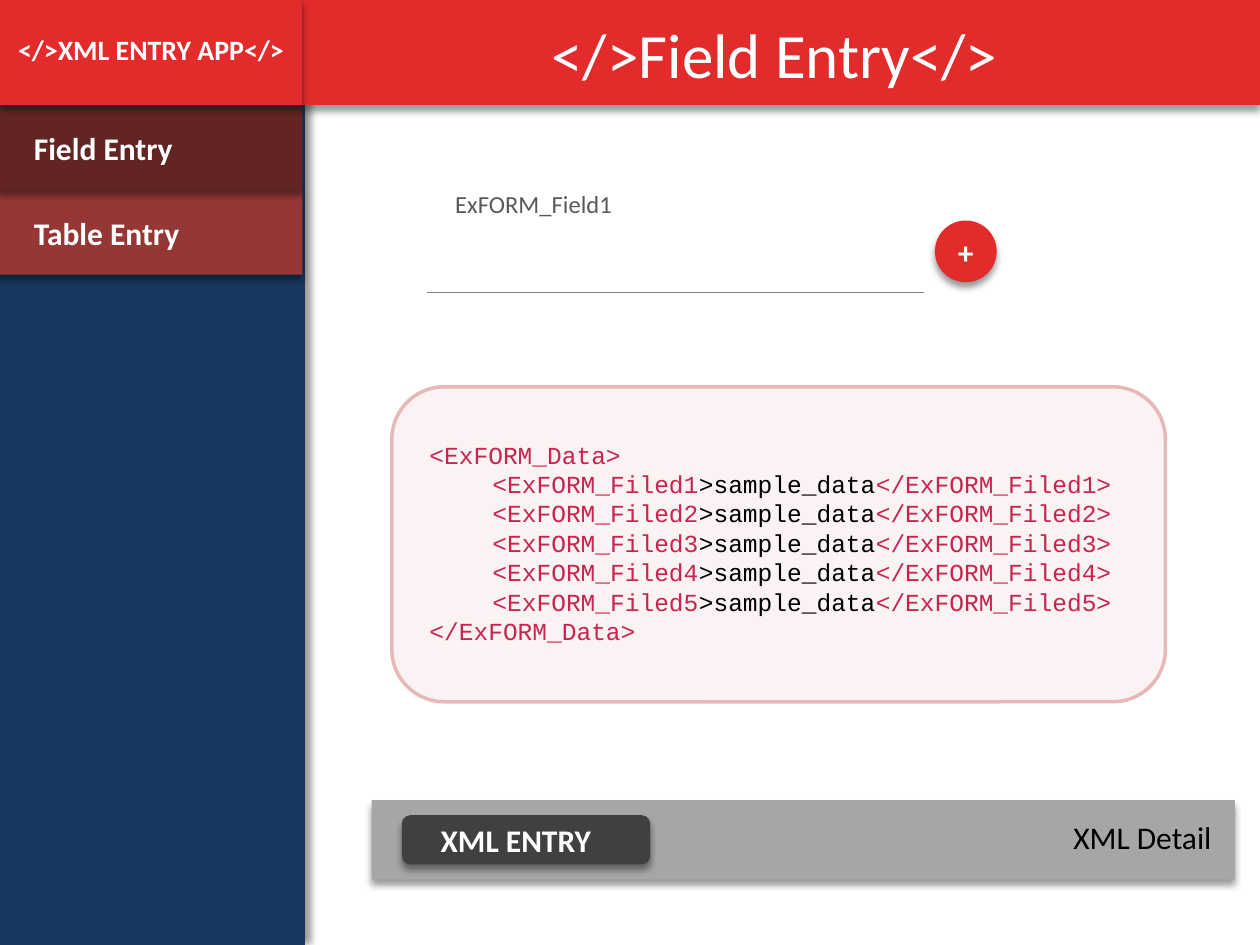
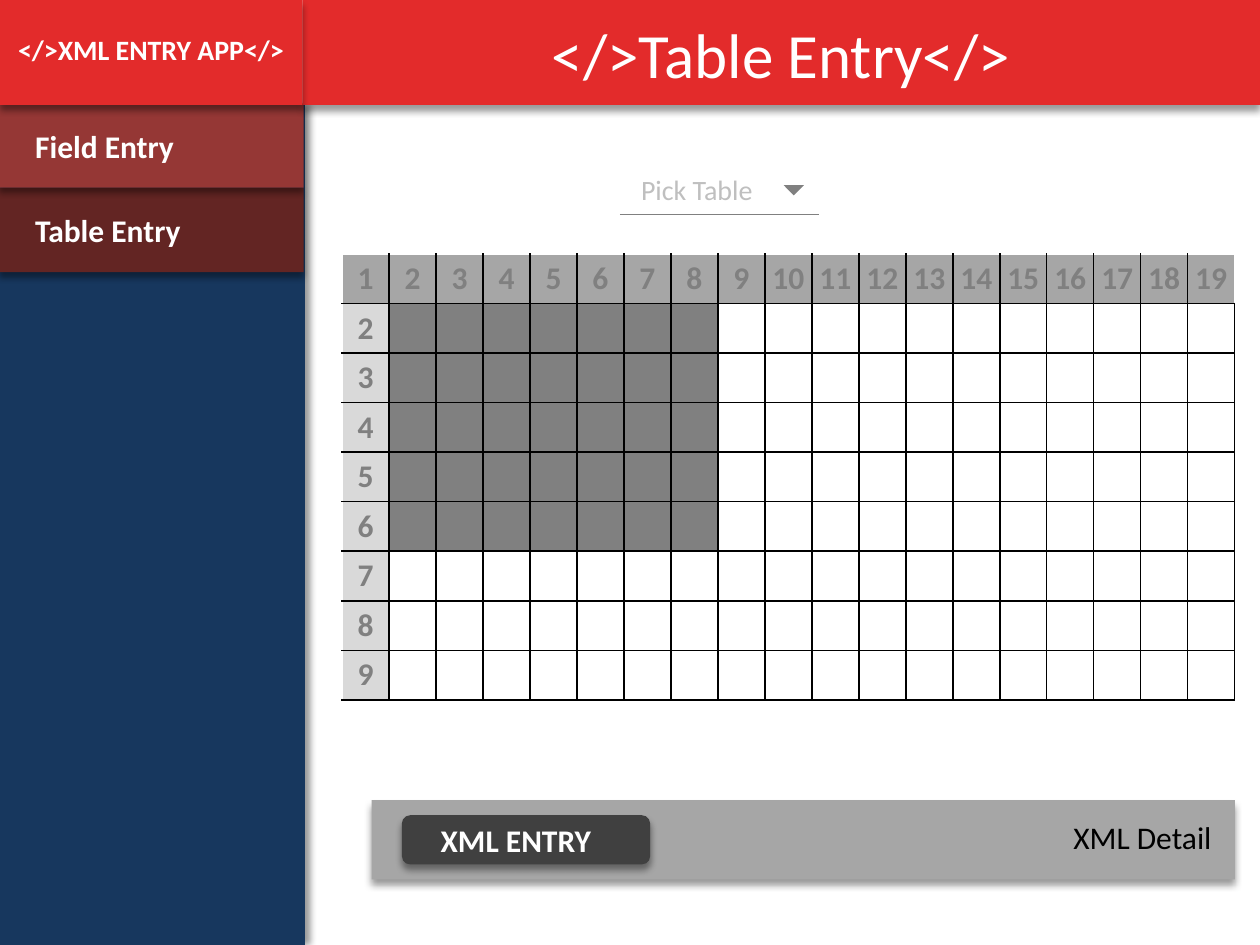
from lxml import etree
from pptx import Presentation
from pptx.dml.color import RGBColor
from pptx.enum.shapes import MSO_CONNECTOR, MSO_SHAPE
from pptx.enum.text import MSO_ANCHOR, MSO_AUTO_SIZE, PP_ALIGN
from pptx.oxml.ns import qn
from pptx.util import Inches, Pt

RECT = MSO_SHAPE.RECTANGLE
ROUND = MSO_SHAPE.ROUNDED_RECTANGLE
DISC = MSO_SHAPE.FLOWCHART_CONNECTOR
ARROW = MSO_SHAPE.ISOSCELES_TRIANGLE
LINE = MSO_CONNECTOR.STRAIGHT
LEFT, MID = PP_ALIGN.LEFT, PP_ALIGN.CENTER
TOP, HALF = MSO_ANCHOR.TOP, MSO_ANCHOR.MIDDLE
GROW = MSO_AUTO_SIZE.SHAPE_TO_FIT_TEXT

HEX = {
    "red": "E32B2B", "navy": "17375E", "item": "953735", "active": "632523",
    "white": "FFFFFF", "black": "000000", "pale": "FBF3F3", "pink": "E6B9B8",
    "code": "C7254E", "label": "595959", "hint": "BFBFBF", "mid": "808080",
    "bar": "A6A6A6", "light": "D9D9D9", "dark": "404040",
}
SANS, MONO = "Calibri", "Courier New"
COLS, ROWS = 100, 75

deck = Presentation()
deck.slide_width, deck.slide_height = Inches(10), Inches(7.5)


def col(n):
    return round(n * deck.slide_width / COLS)


def row(n):
    return round(n * deck.slide_height / ROWS)


def rgb(name):
    return RGBColor.from_string(HEX[name])


def grid(box):
    x, y, w, h = box
    return col(x), row(y), col(w), row(h)


def within(box, x, y, w, h):
    return box[0] + x, box[1] + y, w, h


def shade(shape, angle):
    fx = etree.SubElement(shape.element.spPr, qn("a:effectLst"))
    if angle is None:
        return
    drop = etree.SubElement(fx, qn("a:outerShdw"), blurRad=str(Pt(4)),
                            dist=str(Pt(3)), dir=str(angle * 60000),
                            algn="t", rotWithShape="0")
    tone = etree.SubElement(drop, qn("a:srgbClr"), val=HEX["black"])
    etree.SubElement(tone, qn("a:alpha"), val="40000")


def style(run, size, color, bold=False, face=SANS):
    font = run.font
    font.name, font.size, font.bold = face, Pt(size), bold
    font.color.rgb = rgb(color)


def write(frame, text, size, color, bold=False, align=LEFT, indent=0):
    frame.text = text
    para = frame.paragraphs[0]
    para.alignment = align
    if indent:
        para._p.get_or_add_pPr().set("marL", str(col(indent)))
    style(para.runs[0], size, color, bold)


def block(slide, box, fill, kind=RECT, angle=90, adj=None, edge=None):
    shape = slide.shapes.add_shape(kind, *grid(box))
    shape.fill.solid()
    shape.fill.fore_color.rgb = rgb(fill)
    if edge:
        shape.line.color.rgb = rgb(edge)
        shape.line.width = Pt(2)
    else:
        shape.line.fill.background()
    if adj is not None:
        shape.adjustments[0] = adj
    shade(shape, angle)
    return shape


def label(slide, box, text, size, color, bold=False, align=LEFT,
          anchor=TOP, wrap=True):
    frame = slide.shapes.add_textbox(*grid(box)).text_frame
    frame.word_wrap, frame.vertical_anchor = wrap, anchor
    if not wrap:
        frame.auto_size = GROW
    write(frame, text, size, color, bold, align)


def rule(slide, x, y, w):
    line = slide.shapes.add_connector(LINE, col(x), row(y), col(x + w), row(y))
    line.line.color.rgb = rgb("mid")
    line.line.width = Pt(0.75)
    shade(line, None)


def menu(slide, box, names, active):
    x, y, w, h = box
    step = h / len(names)
    for i in reversed(range(len(names))):
        fill = "active" if names[i] == active else "item"
        item = block(slide, (x, y + i * step, w, step), fill)
        write(item.text_frame, names[i], 18, "white", True, indent=1.9)


def header(slide, box, title, span):
    x, y, w, h = box
    side = 24
    block(slide, (x + side, y, w - side, h), "red")
    block(slide, (x, y, side, h), "red")
    label(slide, within(box, 0, 2.1, side, 3.7), "</>XML ENTRY APP</>",
          16, "white", True, MID)
    label(slide, within(box, 42.8, 0.7, span, 7.1), f"</>{title}</>",
          36, "white", wrap=False)


def footer(slide, box):
    block(slide, box, "bar", ROUND, adj=0)
    button = block(slide, within(box, 2.4, 1.2, 19.7, 3.9), "dark", ROUND)
    write(button.text_frame, "XML ENTRY", 18, "white", True, indent=1.9)
    label(slide, within(box, 54.7, 0.9, 13.9, 4), "XML Detail", 18, "black")


def field(slide, box):
    block(slide, within(box, 1.1, 4.4, 37.5, 5.2), "white", ROUND, None, 0)
    label(slide, within(box, 0.2, 0, 16.5, 4.7), "ExFORM_Field1",
          14, "label", align=MID, anchor=HALF)
    rule(slide, box[0], box[1] + box[3], 39.4)
    block(slide, within(box, 40.3, 3.7, 4.9, 4.9), "red", DISC)
    label(slide, within(box, 40.3, 4.2, 4.9, 4), "+", 18, "white", True, MID)


def code(slide, box):
    block(slide, box, "pale", ROUND, None, edge="pink")
    frame = slide.shapes.add_textbox(
        *grid(within(box, 2, 3.7, 57.9, 17.5))).text_frame
    frame.word_wrap = True
    lines = [["<ExFORM_Data>"]]
    for i in range(1, 6):
        tag = f"ExFORM_Filed{i}"
        lines.append([f"<{tag}", ">sample_data", f"</{tag}>"])
    lines.append(["</ExFORM_Data>"])
    for i, parts in enumerate(lines):
        para = frame.add_paragraph() if i else frame.paragraphs[0]
        para.alignment = LEFT
        if len(parts) > 1:
            para.level = 1
            para._p.get_or_add_pPr().set("marL", str(col(5)))
        for j, part in enumerate(parts):
            run = para.add_run()
            run.text = part
            style(run, 14, "black" if j == 1 else "code", face=MONO)


def picker(slide, box):
    x, y, w, h = box
    pick = block(slide, within(box, 0.7, 0, 14.3, 5.2), "white", ROUND, None, 0)
    write(pick.text_frame, "Pick Table", 16, "hint")
    arrow = block(slide, within(box, 13, 2.3, 1.6, 0.8), "mid", ARROW, None)
    arrow.element.spPr.get_or_add_xfrm().set("flipV", "1")
    rule(slide, x, y + h, w)


def border(cell, sides):
    props = cell._tc.get_or_add_tcPr()
    for side in sides:
        edge = etree.SubElement(props, qn(f"a:ln{side}"), w=str(Pt(1)))
        fill = etree.SubElement(edge, qn("a:solidFill"))
        etree.SubElement(fill, qn("a:srgbClr"), val=HEX["black"])


def sheet(slide, box, down, across, picked):
    table = slide.shapes.add_table(down, across, *grid(box)).table
    table.first_row = table.horz_banding = False
    for c in table.columns:
        c.width = round(col(box[2]) / across)
    for r in table.rows:
        r.height = round(row(box[3]) / down)
    for r in range(down):
        for c in range(across):
            cell = table.cell(r, c)
            cell.margin_left = cell.margin_right = 0
            cell.margin_top = cell.margin_bottom = 0
            cell.vertical_anchor = HALF
            shown = {"L": c > 0, "R": r > 0 or c < across - 1,
                     "T": r > 0, "B": True}
            border(cell, [side for side in shown if shown[side]])
            if r == 0 or c == 0:
                fill = "light" if r else "bar"
                write(cell.text_frame, str(r + c + 1), 18, "mid", True, MID)
            else:
                fill = "mid" if r <= picked[0] and c <= picked[1] else None
            if fill:
                cell.fill.solid()
                cell.fill.fore_color.rgb = rgb(fill)
            else:
                cell.fill.background()


def page(title, span, side, nav):
    slide = deck.slides.add_slide(deck.slide_layouts[6])
    block(slide, side, "navy", angle=0)
    menu(slide, nav, ["Field Entry", "Table Entry"], title)
    header(slide, (0, 0, COLS, 8.33), title, span)
    return slide


first = page("Field Entry", 37.7, (-0.2, 0, 24.4, ROWS),
             (-0.2, 8.4, 24.2, 13.4))
field(first, (33.9, 13.8, 45.2, 9.4))
code(first, (31.1, 30.7, 61.4, 25))

second = page("Table Entry", 39.8, (-0.2, 8.3, 24.4, 66.7),
              (-0.1, 8.2, 24.2, 13.4))
sheet(second, (27.15, 20.15, 70.9, 35.4), 9, 19, (5, 7))
picker(second, (49.2, 12.4, 15.8, 4.6))

for slide in (first, second):
    footer(slide, (29.5, 63.5, 68.5, 6.3))

deck.save("out.pptx")
